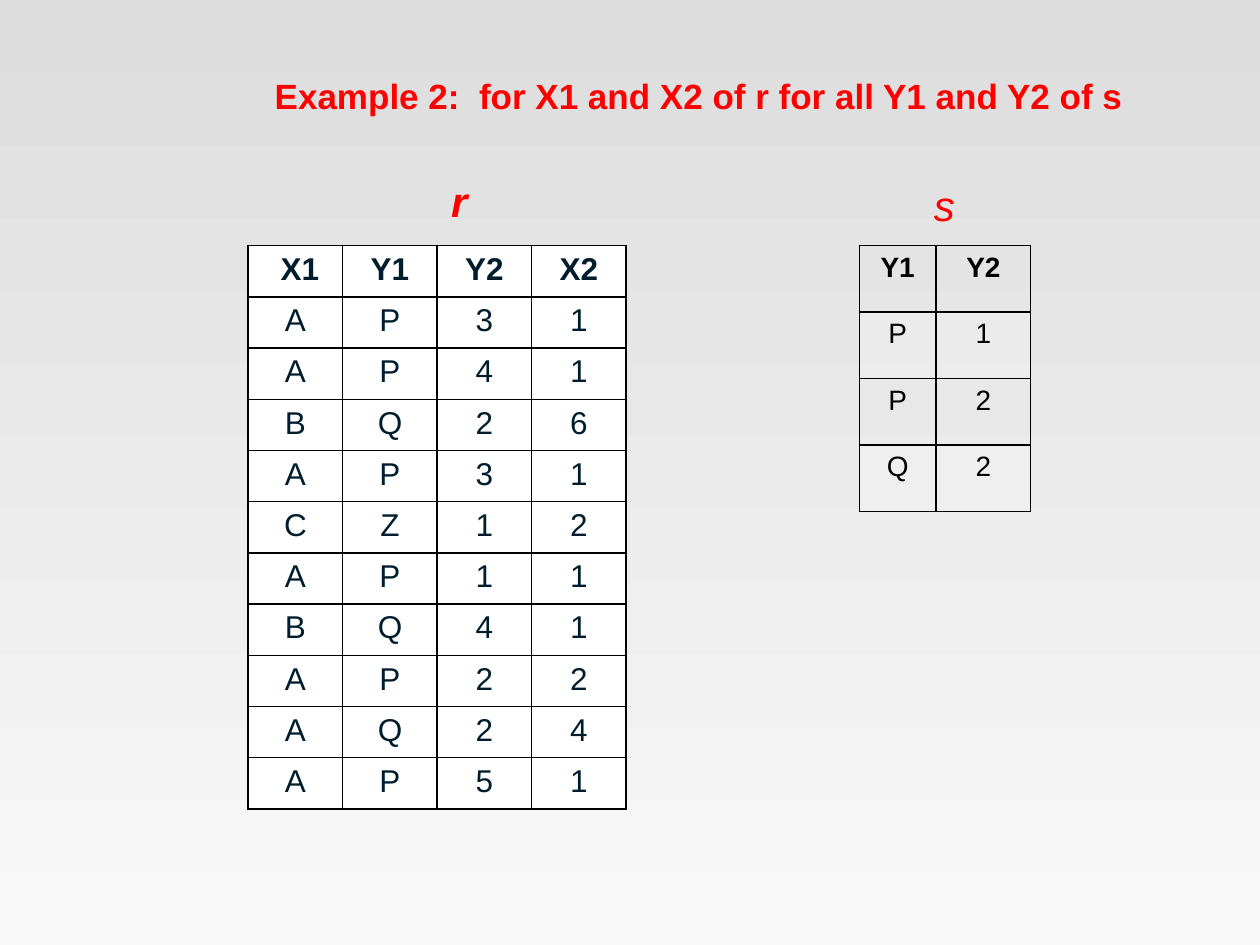
from pptx import Presentation
from pptx.dml.color import RGBColor
from pptx.enum import text
from pptx.oxml import parse_xml
from pptx.oxml.ns import nsdecls, qn
from pptx.util import Inches, Pt

RED = RGBColor(0xFF, 0x00, 0x00)
BLACK = RGBColor(0x00, 0x00, 0x00)
NAVY = RGBColor(0x00, 0x1D, 0x2E)
WHITE = RGBColor(0xFF, 0xFF, 0xFF)
GRAY_TOP = RGBColor(0xDD, 0xDD, 0xDD)
GRAY_BOTTOM = RGBColor(0xF8, 0xF8, 0xF8)

FONT = "Arial"
NO_TABLE_STYLE = "{2D5ABB26-0587-4C30-8999-92F81FD0307C}"

R_ROWS = ["AP31", "AP41", "BQ26", "AP31", "CZ12",
          "AP11", "BQ41", "AP22", "AQ24", "AP51"]
S_ROWS = ["P1", "P2", "Q2"]


def style(p, size, color, bold=False, italic=False, align=text.PP_ALIGN.CENTER):
    p.alignment = align
    p.font.name = FONT
    p.font.size = Pt(size)
    p.font.color.rgb = color
    p.font.bold = bold
    p.font.italic = italic


def paint_background(slide):
    fill = slide.background.fill
    fill.gradient()
    fill.gradient_angle = 270
    for stop, color, position in zip(fill.gradient_stops, (GRAY_TOP, GRAY_BOTTOM), (0, 1)):
        stop.color.rgb = color
        stop.position = position


def add_title(slide, x, y, w, h):
    title = slide.shapes.title
    title.left, title.top, title.width, title.height = map(Inches, (x, y, w, h))
    tf = title.text_frame
    tf.text = "Example 2:  for X1 and X2 of r for all Y1 and Y2 of s"
    tf.word_wrap = False
    tf.auto_size = text.MSO_AUTO_SIZE.SHAPE_TO_FIT_TEXT
    tf.vertical_anchor = text.MSO_ANCHOR.TOP
    style(tf.paragraphs[0], 20, RED, bold=True, align=text.PP_ALIGN.LEFT)


def add_label(slide, name, x, y, w, h, bold=False):
    tf = slide.shapes.add_textbox(*map(Inches, (x, y, w, h))).text_frame
    tf.text = name
    tf.word_wrap = False
    tf.auto_size = text.MSO_AUTO_SIZE.SHAPE_TO_FIT_TEXT
    tf.vertical_anchor = text.MSO_ANCHOR.MIDDLE
    style(tf.paragraphs[0], 24, RED, bold=bold, italic=True)


def add_borders(cell):
    tc_pr = cell._tc.get_or_add_tcPr()
    for side in "LRTB":
        tc_pr.append(parse_xml(
            f'<a:ln{side} {nsdecls("a")} w="{Pt(1)}"><a:solidFill>'
            f'<a:srgbClr val="{BLACK}"/></a:solidFill></a:ln{side}>'))


def fill_white(cell, opacity):
    cell.fill.solid()
    cell.fill.fore_color.rgb = WHITE
    if opacity < 100:
        color = cell._tc.tcPr.find(qn("a:solidFill"))[0]
        color.append(parse_xml(f'<a:alpha {nsdecls("a")} val="{opacity * 1000}"/>'))


def add_relation(slide, x, y, col_widths, height, rows, size, color, opacities):
    """Draw a relation; opacities holds the white fill of even and odd rows."""
    frame = slide.shapes.add_table(len(rows), len(col_widths), Inches(x), Inches(y),
                                   Inches(sum(col_widths)), Inches(height))
    table = frame.table
    table._tbl.tblPr.find(qn("a:tableStyleId")).text = NO_TABLE_STYLE
    table.horz_banding = False
    for column, width in zip(table.columns, col_widths):
        column.width = Inches(width)
    for i, values in enumerate(rows):
        for cell, value in zip(table.rows[i].cells, values):
            cell.text = value
            style(cell.text_frame.paragraphs[0], size, color, bold=i == 0)
            add_borders(cell)
            opacity = opacities[i % 2]
            if opacity:
                fill_white(cell, opacity)
            else:
                cell.fill.background()


def main():
    prs = Presentation()
    prs.slide_width, prs.slide_height = Inches(10), Inches(7.5)
    slide = prs.slides.add_slide(prs.slide_layouts[5])
    paint_background(slide)
    add_title(slide, 2.08, 0.54, 6.98, 0.44)

    # Relation s, the divisor
    add_relation(slide, 6.82, 1.95, [0.61, 0.75], 2.11,
                 [["Y1", "Y2"], *S_ROWS], 16, BLACK, (0, 20))
    add_label(slide, "s", 7.31, 1.37, 0.37, 0.51)

    # Relation r, the dividend
    add_relation(slide, 1.97, 1.95, [0.75] * 4, 4.47,
                 [[" X1", "Y1", "Y2", "X2"], *R_ROWS], 18, NAVY, (100, 100))
    add_label(slide, "r", 3.48, 1.34, 0.33, 0.5, bold=True)

    prs.save("out.pptx")


if __name__ == "__main__":
    main()
